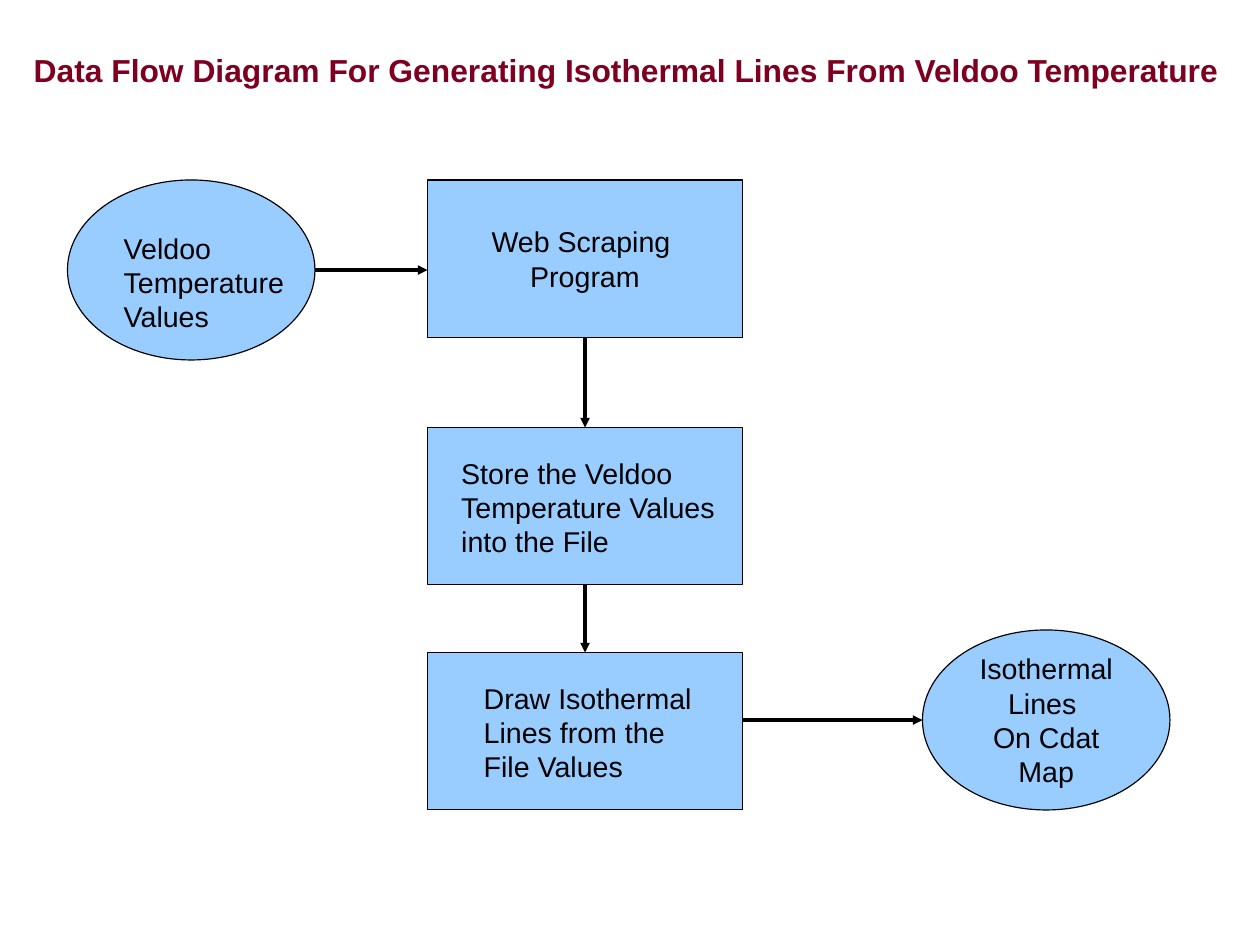
from lxml.etree import SubElement
from pptx import Presentation
from pptx.dml.color import RGBColor
from pptx.enum.shapes import MSO_CONNECTOR, MSO_SHAPE
from pptx.enum.text import MSO_ANCHOR, PP_ALIGN
from pptx.oxml.ns import qn
from pptx.util import Cm, Pt

SKY = RGBColor(0x99, 0xCC, 0xFF)
BLACK = RGBColor(0, 0, 0)
MAROON = RGBColor(0x7E, 0x00, 0x21)


class FlowDiagram:
    font_name = "Arial"
    hairline = Pt(0)

    def __init__(self, slide):
        self.slide = slide

    def fill_text(self, frame, lines, align, size=18, color=BLACK, bold=False):
        frame.word_wrap = True
        frame.text = "\n".join(lines)
        for para in frame.paragraphs:
            para.alignment = align
            for span in para.runs:
                span.font.name = self.font_name
                span.font.size = Pt(size)
                span.font.bold = bold
                span.font.color.rgb = color

    def node(self, kind, left, top, width, height, lines=()):
        shape = self.slide.shapes.add_shape(
            kind, Cm(left), Cm(top), Cm(width), Cm(height))
        shape.shadow.inherit = False
        shape.fill.solid()
        shape.fill.fore_color.rgb = SKY
        shape.line.color.rgb = BLACK
        shape.line.width = self.hairline
        if lines:
            shape.text_frame.vertical_anchor = MSO_ANCHOR.MIDDLE
            self.fill_text(shape.text_frame, lines, PP_ALIGN.CENTER)

    def process(self, top, lines=()):
        self.node(MSO_SHAPE.RECTANGLE, 9.5, top, 7, 3.5, lines)

    def terminal(self, left, top, lines=()):
        self.node(MSO_SHAPE.OVAL, left, top, 5.5, 4, lines)

    def label(self, left, top, width, height, lines, **style):
        box = self.slide.shapes.add_textbox(
            Cm(left), Cm(top), Cm(width), Cm(height))
        self.fill_text(box.text_frame, lines, PP_ALIGN.LEFT, **style)

    def arrow(self, start_x, start_y, end_x, end_y):
        connector = self.slide.shapes.add_connector(
            MSO_CONNECTOR.STRAIGHT,
            Cm(start_x), Cm(start_y), Cm(end_x), Cm(end_y))
        connector.line.color.rgb = BLACK
        connector.line.width = self.hairline
        properties = connector.element.spPr
        SubElement(properties.find(qn("a:ln")), qn("a:tailEnd"), type="triangle")
        SubElement(properties, qn("a:effectLst"))


def main():
    deck = Presentation()
    deck.slide_width, deck.slide_height = Cm(28), Cm(21)
    page = FlowDiagram(deck.slides.add_slide(deck.slide_layouts[6]))

    page.terminal(1.5, 4)
    page.process(4, ["Web Scraping ", "Program"])
    page.process(9.5)
    page.process(14.5)
    page.terminal(20.5, 14, ["Isothermal Lines ", "On Cdat Map"])

    page.label(2.5, 5, 4.5, 3.38, ["Veldoo Temperature Values"])
    page.label(10, 10, 7.06, 2.4,
               ["Store the Veldoo", "Temperature Values", "into the File"])
    page.label(10.5, 15, 8.08, 2.4,
               ["Draw Isothermal", "Lines from the", "File Values"])

    page.arrow(7, 6, 9.5, 6)
    page.arrow(13, 7.5, 13, 9.5)
    page.arrow(13, 13, 13, 14.5)
    page.arrow(16.5, 16, 20.5, 16)

    page.label(0.5, 1, 27.5, 1.05,
               ["Data Flow Diagram For Generating Isothermal Lines "
                "From Veldoo Temperature"],
               size=20, color=MAROON, bold=True)

    deck.save("out.pptx")


if __name__ == "__main__":
    main()
